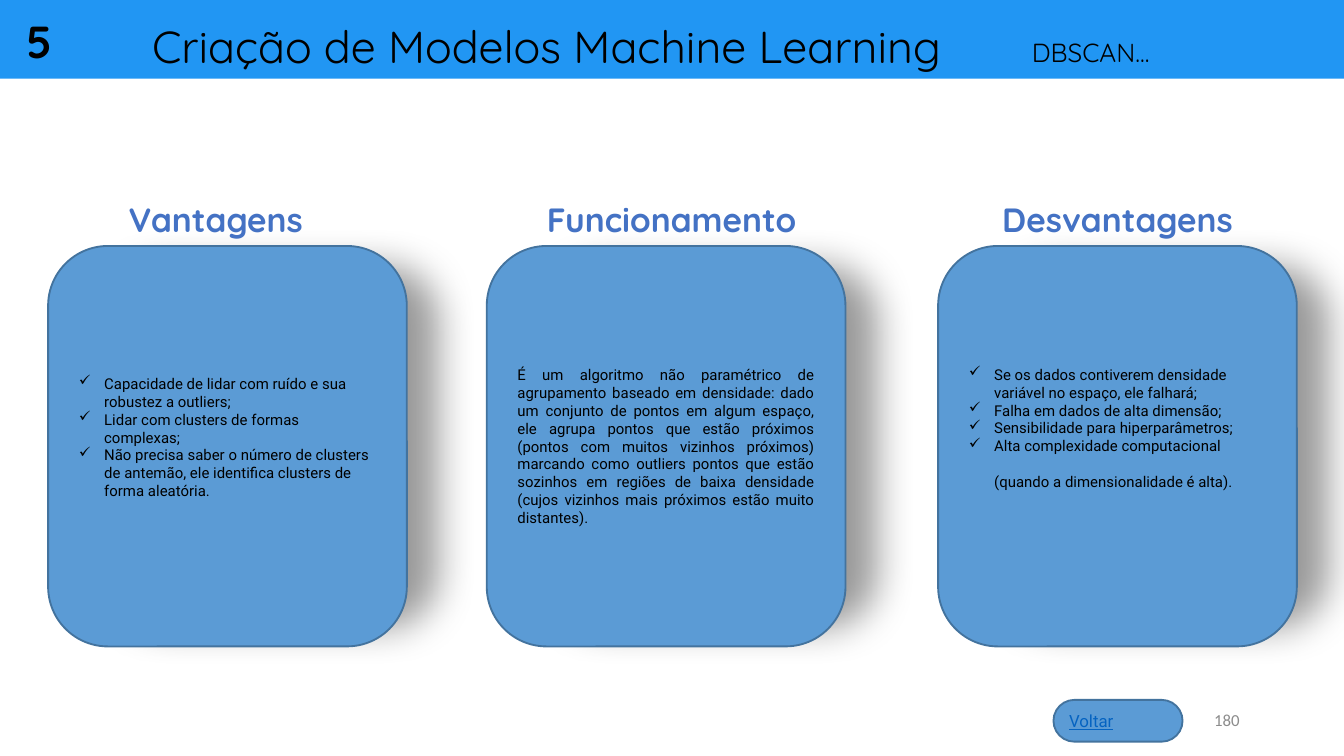
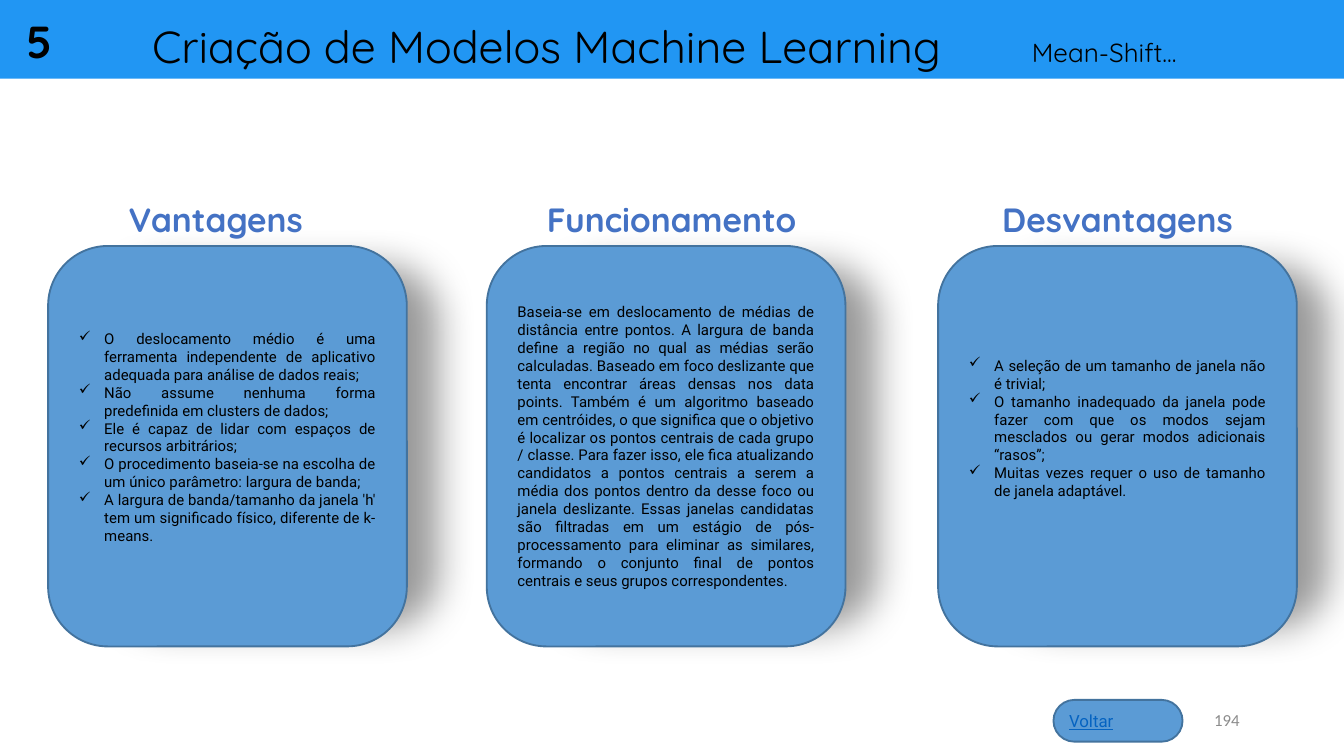
"""Build two slides comparing the DBSCAN and Mean-Shift clustering algorithms."""
from lxml.etree import SubElement
from pptx import Presentation
from pptx.dml.color import RGBColor
from pptx.enum.shapes import MSO_SHAPE as Preset
from pptx.enum.text import MSO_ANCHOR as Anchor, MSO_AUTO_SIZE as AutoSize, PP_ALIGN as Align
from pptx.oxml.ns import qn
from pptx.util import Cm, Pt

COLORS = {
    "band": "2196F3", "card": "5B9BD5", "border": "43739E", "heading": "4472C4",
    "text": "000000", "link": "0563C1", "number": "8C8C8C", "outline": "FFFFFF",
}
LINE_HEIGHT = 0.34
INDENT = Cm(0.48)

CARDS = [
    ("Funcionamento", 9.2, 9.09, 7.21),
    ("Vantagens", 0.91, 0.69, 6.78),
    ("Desvantagens", 17.73, 17.73, 6.78),
]

SLIDES = [
    {
        "topic": "DBSCAN...", "number": "180", "bullet_align": Align.LEFT,
        "Funcionamento": [
            "É um algoritmo não paramétrico de agrupamento baseado em densidade: dado um "
            "conjunto de pontos em algum espaço, ele agrupa pontos que estão próximos (pontos "
            "com muitos vizinhos próximos) marcando como outliers pontos que estão sozinhos em "
            "regiões de baixa densidade (cujos vizinhos mais próximos estão muito distantes).",
        ],
        "Vantagens": [
            "Capacidade de lidar com ruído e sua robustez a outliers;",
            "Lidar com clusters de formas complexas;",
            "Não precisa saber o número de clusters de antemão, ele identifica clusters de "
            "forma aleatória.",
        ],
        "Desvantagens": [
            "Se os dados contiverem densidade variável no espaço, ele falhará;",
            "Falha em dados de alta dimensão;",
            "Sensibilidade para hiperparâmetros;",
            "Alta complexidade computacional",
            "(quando a dimensionalidade é alta).",
        ],
    },
    {
        "topic": "Mean-Shift...", "number": "194", "bullet_align": Align.JUSTIFY,
        "Funcionamento": [
            "Baseia-se em deslocamento de médias de distância entre pontos. A largura de banda "
            "define a região no qual as médias serão calculadas. Baseado em foco deslizante que "
            "tenta encontrar áreas densas nos data points. Também é um algoritmo baseado em "
            "centróides, o que significa que o objetivo é localizar os pontos centrais de cada "
            "grupo / classe. Para fazer isso, ele fica atualizando candidatos a pontos centrais "
            "a serem a média dos pontos dentro da desse foco ou janela deslizante. Essas janelas "
            "candidatas são filtradas em um estágio de pós-processamento para eliminar as "
            "similares, formando o conjunto final de pontos centrais e seus grupos "
            "correspondentes.",
        ],
        "Vantagens": [
            "O deslocamento médio é uma ferramenta independente de aplicativo adequada para "
            "análise de dados reais;",
            "Não assume nenhuma forma predefinida em clusters de dados;",
            "Ele é capaz de lidar com espaços de recursos arbitrários;",
            "O procedimento baseia-se na escolha de um único parâmetro: largura de banda;",
            "A largura de banda/tamanho da janela 'h' tem um significado físico, diferente de "
            "k-means.",
        ],
        "Desvantagens": [
            "A seleção de um tamanho de janela não é trivial;",
            "O tamanho inadequado da janela pode fazer com que os modos sejam mesclados ou "
            "gerar modos adicionais “rasos”;",
            "Muitas vezes requer o uso de tamanho de janela adaptável.",
        ],
    },
]
BOTTOM_LINES = {"Funcionamento": 0, "Vantagens": 1, "Desvantagens": 2}


def add_text(paragraph, text, size, font_name, color, align=Align.LEFT, bold=False):
    """Add one formatted run to a paragraph and return it."""
    paragraph.alignment = align
    run = paragraph.add_run()
    run.text = text
    run.font.size = Pt(size)
    run.font.name = font_name
    run.font.bold = bold
    run.font.color.rgb = RGBColor.from_string(COLORS[color])
    return run


def add_box(shapes, preset, left, top, width, height, fill=None, line=None):
    """Add a text box, or a filled preset shape, with wrapped text."""
    place = Cm(left), Cm(top), Cm(width), Cm(height)
    if preset is None:
        shape = shapes.add_textbox(*place)
    else:
        shape = shapes.add_shape(preset, *place)
        shape.shadow.inherit = False
        shape.fill.solid()
        shape.fill.fore_color.rgb = RGBColor.from_string(COLORS[fill])
        if line:
            shape.line.color.rgb = RGBColor.from_string(COLORS[line])
            shape.line.width = Pt(1)
        else:
            shape.line.fill.background()
    shape.text_frame.word_wrap = True
    return shape


presentation = Presentation()
presentation.slide_width = Cm(25.4)
presentation.slide_height = Cm(14.29)

for content in SLIDES:
    slide = presentation.slides.add_slide(presentation.slide_layouts[5])
    shapes = slide.shapes

    title = shapes.title
    title.left, title.top, title.width, title.height = Cm(2.62), Cm(0.23), Cm(15.57), Cm(1.27)
    title.text_frame.auto_size = AutoSize.NONE
    title.text_frame.vertical_anchor = Anchor.MIDDLE
    add_text(title.text_frame.paragraphs[0], "Criação de Modelos Machine Learning",
             24, "Quicksand", "text")
    band = add_box(shapes, Preset.RECTANGLE, 0, 0, 25.4, 1.49, "band")
    title.element.addprevious(band.element)

    chapter = add_box(shapes, None, 0.25, 0.13, 1.07, 1.27)
    chapter.text_frame.word_wrap = False
    add_text(chapter.text_frame.paragraphs[0], "5", 24, "Quicksand", "text", bold=True)
    topic = add_box(shapes, None, 19.25, 0.56, 5.82, 1.45)
    add_text(topic.text_frame.paragraphs[0], content["topic"], 14, "Quicksand", "text")

    for heading, card_left, heading_left, heading_width in CARDS:
        group = shapes.add_group_shape()
        card = add_box(group.shapes, Preset.ROUNDED_RECTANGLE,
                       card_left, 4.65, 6.78, 7.57, "card", "border")
        effects = card.element.spPr.find(qn("a:effectLst"))
        shadow = SubElement(effects, qn("a:outerShdw"), blurRad=str(Pt(21)), dist=str(Pt(35)),
                            dir="0", sx="90000", sy="90000", algn="l", rotWithShape="0")
        shadow_color = SubElement(shadow, qn("a:srgbClr"), val=COLORS["text"])
        SubElement(shadow_color, qn("a:alpha"), val="40000")

        frame = card.text_frame
        frame.vertical_anchor = Anchor.MIDDLE
        frame.margin_bottom = Cm(0.13 + BOTTOM_LINES[heading] * LINE_HEIGHT)
        bulleted = heading != "Funcionamento"
        for index, text in enumerate(content[heading]):
            paragraph = frame.paragraphs[0] if index == 0 else frame.add_paragraph()
            if bulleted:
                properties = paragraph._p.get_or_add_pPr()
                properties.set("marL", str(INDENT))
                if text.startswith("("):
                    paragraph.space_before = Cm(LINE_HEIGHT)
                else:
                    properties.set("indent", str(-INDENT))
                    SubElement(properties, qn("a:buChar"), char="✓")
            align = content["bullet_align"] if bulleted else Align.JUSTIFY
            add_text(paragraph, text, 8, "Roboto", "text", align)

        label = add_box(group.shapes, None, heading_left, 3.63, heading_width, 1.02)
        label.text_frame.vertical_anchor = Anchor.MIDDLE
        run = add_text(label.text_frame.paragraphs[0], heading, 18, "Quicksand", "heading",
                       Align.CENTER, bold=True)
        run_properties = run.font._element
        outline = SubElement(run_properties, qn("a:ln"), w=str(Pt(0.75)))
        SubElement(SubElement(outline, qn("a:solidFill")), qn("a:srgbClr"), val=COLORS["outline"])
        run_properties.insert(0, outline)

    button = add_box(shapes, Preset.ROUND_2_SAME_RECTANGLE,
                     19.91, 13.23, 2.44, 0.79, "card", "border")
    button.adjustments[0] = button.adjustments[1] = 0.5
    frame = button.text_frame
    frame.vertical_anchor = Anchor.MIDDLE
    frame.margin_left = frame.margin_right = Cm(0.18)
    frame.margin_top = frame.margin_bottom = Cm(0.1)
    add_text(frame.paragraphs[0], "Voltar", 9, "Roboto", "link").font.underline = True

    number = add_box(shapes, None, 22.56, 13.23, 1.12, 0.76)
    number.text_frame.vertical_anchor = Anchor.MIDDLE
    add_text(number.text_frame.paragraphs[0], content["number"], 9, "Calibri", "number",
             Align.RIGHT)

presentation.save("out.pptx")
